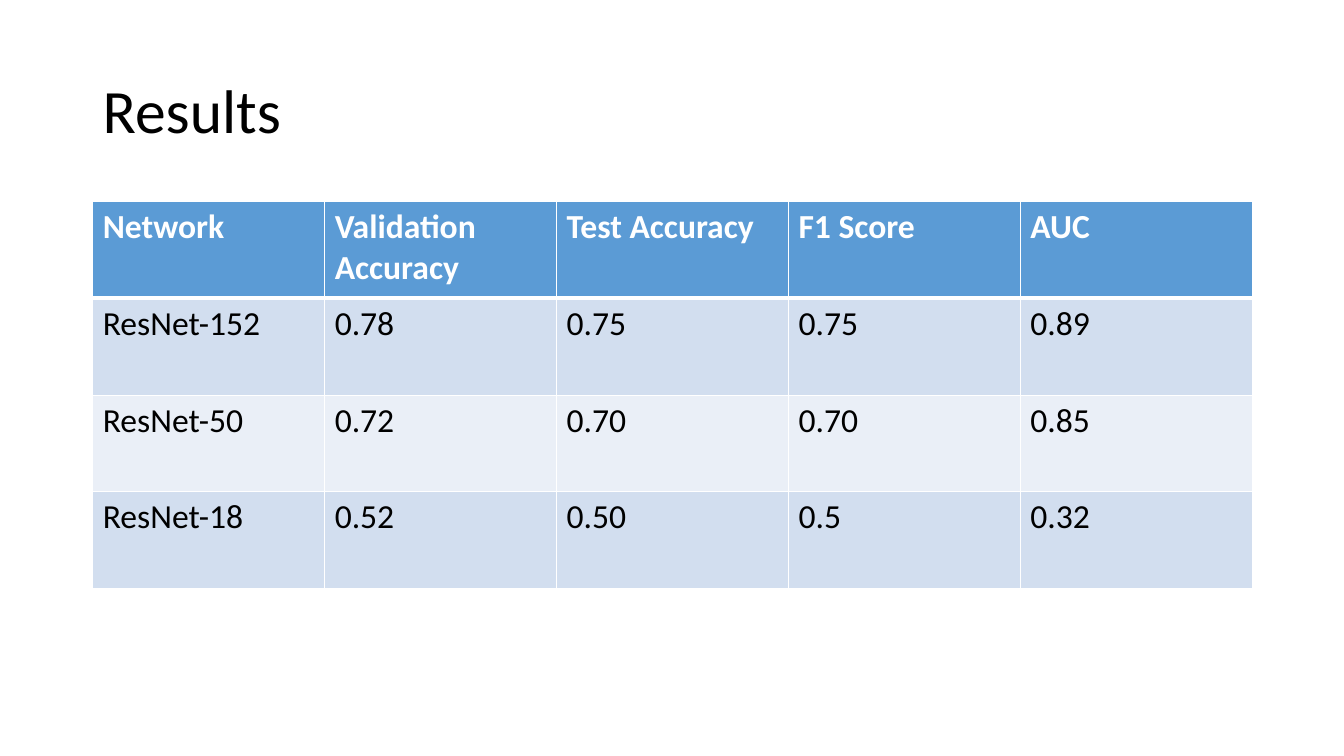
from lxml import etree
from pptx import Presentation
from pptx.dml.color import RGBColor
from pptx.enum.text import MSO_ANCHOR
from pptx.oxml.ns import qn
from pptx.util import Inches, Pt

MIDDLE = MSO_ANCHOR.MIDDLE
FONT = "Calibri"
COLORS = {
    "text": "000000",
    "header_text": "FFFFFF",
    "border": "FFFFFF",
    "header": "5B9BD5",
    "odd_row": "D2DEEF",
    "even_row": "EAEFF7",
}
RESULTS = [
    ("Network", "Validation Accuracy", "Test Accuracy", "F1 Score", "AUC"),
    ("ResNet-152", "0.78", "0.75", "0.75", "0.89"),
    ("ResNet-50", "0.72", "0.70", "0.70", "0.85"),
    ("ResNet-18", "0.52", "0.50", "0.5", "0.32"),
]


def color(name):
    return RGBColor.from_string(COLORS[name])


def add_run(paragraph, text, size, color_name, bold=False):
    run = paragraph.add_run()
    run.text = text
    run.font.name = FONT
    run.font.size = Pt(size)
    run.font.bold = bold
    run.font.color.rgb = color(color_name)


def set_borders(cell, top, bottom):
    """Draw the cell's four edges; call it before the cell gets its fill."""
    properties = cell._tc.get_or_add_tcPr()
    for edge, points in (("lnL", 1), ("lnR", 1), ("lnT", top), ("lnB", bottom)):
        line = etree.SubElement(properties, qn(f"a:{edge}"), w=str(Pt(points)))
        fill = etree.SubElement(line, qn("a:solidFill"))
        etree.SubElement(fill, qn("a:srgbClr"), val=COLORS["border"])


def add_title(slide, text, left, top, width, height):
    title = slide.shapes.add_textbox(
        Inches(left), Inches(top), Inches(width), Inches(height)).text_frame
    title.word_wrap = True
    title.vertical_anchor = MIDDLE
    heading = title.paragraphs[0]
    heading.line_spacing = 0.9
    add_run(heading, text, 44, "text")


def add_results_table(slide, rows, left, top, width, height):
    table = slide.shapes.add_table(
        len(rows), len(rows[0]),
        Inches(left), Inches(top), Inches(width), Inches(height)).table
    for r, row in enumerate(rows):
        is_header = r == 0
        row_fill = "header" if is_header else "odd_row" if r % 2 else "even_row"
        for c, value in enumerate(row):
            cell = table.cell(r, c)
            set_borders(cell, top=3 if r == 1 else 1, bottom=3 if is_header else 1)
            cell.fill.solid()
            cell.fill.fore_color.rgb = color(row_fill)
            add_run(cell.text_frame.paragraphs[0], value, 24,
                    "header_text" if is_header else "text", bold=is_header)


def main():
    deck = Presentation()
    deck.slide_width = Inches(13.33)
    deck.slide_height = Inches(7.5)
    slide = deck.slides.add_slide(deck.slide_layouts[6])
    left, width = 0.92, 11.5
    add_title(slide, "Results", left, 0.4, width, 1.45)
    add_results_table(slide, RESULTS, left, 2, width, 3.84)
    deck.save("out.pptx")


if __name__ == "__main__":
    main()
